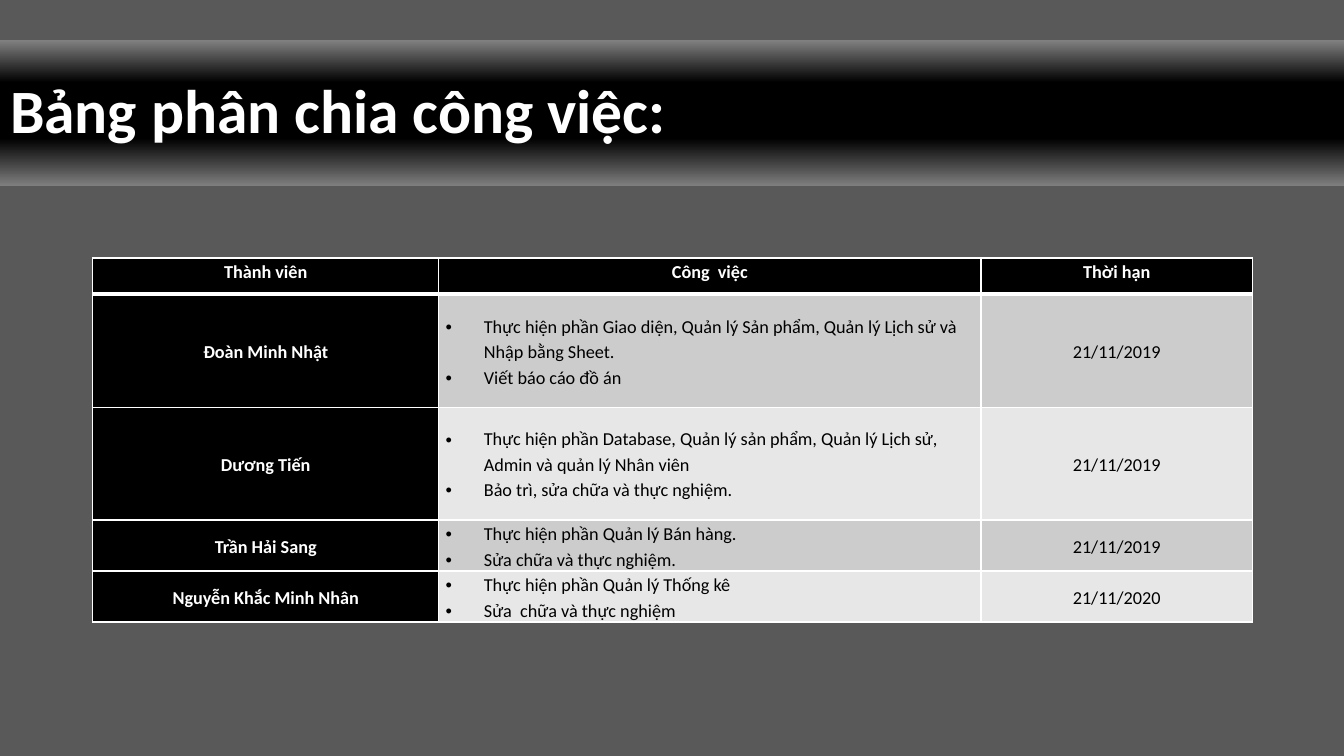
from lxml import etree
from pptx import Presentation
from pptx import util as u
from pptx.dml import color
from pptx.enum import text
from pptx.oxml import ns

FONT = "Calibri"
WHITE, BLACK, GREY = "FFFFFF", "000000", "595959"
BANDS = ["CCCCCC", "E7E7E7"]
TITLE_STOPS = [(0, "808080"), (33, BLACK), (71, BLACK), (100, "808080")]
COLUMN_WIDTHS = [3.43, 5.38, 2.69]
ROW_HEIGHTS = [0.36, 1.12, 1.12, 0.36, 0.36]
HEADINGS = ["Thành viên", "Công  việc", "Thời hạn"]
MEMBERS = [
    ("Đoàn Minh Nhật",
     ["Thực hiện phần Giao diện, Quản lý Sản phẩm, Quản lý Lịch sử và Nhập bằng Sheet.",
      "Viết báo cáo đồ án"], "21/11/2019"),
    ("Dương Tiến",
     ["Thực hiện phần Database, Quản lý sản phẩm, Quản lý Lịch sử, Admin và quản lý Nhân viên",
      "Bảo trì, sửa chữa và thực nghiệm."], "21/11/2019"),
    ("Trần Hải Sang",
     ["Thực hiện phần Quản lý Bán hàng.", "Sửa chữa và thực nghiệm."], "21/11/2019"),
    ("Nguyễn Khắc Minh Nhân",
     ["Thực hiện phần Quản lý Thống kê", "Sửa  chữa và thực nghiệm"], "21/11/2020"),
]


def rgb(value):
    """Turn a hex string into a colour."""
    return color.RGBColor.from_string(value)


def add_element(parent, tag, **attributes):
    """Append a DrawingML element with the given attributes."""
    element = etree.SubElement(parent, ns.qn(tag))
    for name, value in attributes.items():
        element.set(name, str(value))
    return element


def add_bullet(paragraph):
    """Give a paragraph a round bullet and a hanging indent."""
    properties = paragraph._p.get_or_add_pPr()
    indent = u.Inches(0.38)
    properties.set("marL", str(indent))
    properties.set("indent", str(-indent))
    add_element(properties, "a:buFont", typeface="Arial")
    add_element(properties, "a:buChar", char="•")


def write_text(frame, lines, size=13, ink=BLACK, bold=False,
               align=text.PP_ALIGN.CENTER, spacing=1.15, bullets=False):
    """Write each line as a formatted paragraph of the frame."""
    for index, line in enumerate(lines):
        paragraph = frame.paragraphs[0] if index == 0 else frame.add_paragraph()
        paragraph.alignment = align
        paragraph.line_spacing = spacing
        if bullets:
            add_bullet(paragraph)
        run = paragraph.add_run()
        run.text = line
        run.font.name = FONT
        run.font.size = u.Pt(size)
        run.font.bold = bold
        run.font.color.rgb = rgb(ink)


def set_gradient(shape, stops):
    """Fill a shape with a vertical gradient of several stops."""
    shape.fill.gradient()
    shape.fill.gradient_angle = 90
    stop_list = shape._element.spPr.find(".//" + ns.qn("a:gsLst"))
    for old_stop in list(stop_list):
        stop_list.remove(old_stop)
    for position, value in stops:
        stop = add_element(stop_list, "a:gs", pos=position * 1000)
        add_element(stop, "a:srgbClr", val=value)


def set_borders(cell, top=1, bottom=1):
    """Draw white borders of the given point widths around a cell."""
    properties = cell._tc.get_or_add_tcPr()
    widths = {"a:lnL": 1, "a:lnR": 1, "a:lnT": top, "a:lnB": bottom}
    for index, (tag, width) in enumerate(widths.items()):
        line = add_element(properties, tag, w=u.Pt(width))
        add_element(add_element(line, "a:solidFill"), "a:srgbClr", val=WHITE)
        properties.insert(index, line)


def fill_cell(cell, lines, fill, anchor=text.MSO_ANCHOR.MIDDLE, **text_format):
    """Set the fill, margins and text of a table cell."""
    cell.fill.solid()
    cell.fill.fore_color.rgb = rgb(fill)
    cell.margin_left = cell.margin_right = u.Inches(0.07)
    cell.margin_top = cell.margin_bottom = 0
    cell.vertical_anchor = anchor
    write_text(cell.text_frame, lines, **text_format)


def add_title(slide, title_text):
    """Place the title as a full-width gradient band."""
    title = slide.shapes.title
    title.left, title.top = 0, u.Inches(0.4)
    title.width, title.height = u.Inches(13.33), u.Inches(1.45)
    set_gradient(title, TITLE_STOPS)
    title.text_frame.vertical_anchor = text.MSO_ANCHOR.MIDDLE
    write_text(title.text_frame, [title_text], size=44, ink=WHITE, bold=True,
               align=text.PP_ALIGN.LEFT, spacing=0.9)


def add_task_table(slide):
    """Add the table of members, tasks and deadlines."""
    frame = slide.shapes.add_table(
        len(ROW_HEIGHTS), len(COLUMN_WIDTHS), u.Inches(0.92), u.Inches(2.56),
        u.Inches(sum(COLUMN_WIDTHS)), u.Inches(sum(ROW_HEIGHTS)))
    table = frame.table
    table.first_col = True
    for column, width in zip(table.columns, COLUMN_WIDTHS):
        column.width = u.Inches(width)
    for row, height in zip(table.rows, ROW_HEIGHTS):
        row.height = u.Inches(height)

    for column, heading in enumerate(HEADINGS):
        fill_cell(table.cell(0, column), [heading], BLACK,
                  anchor=text.MSO_ANCHOR.TOP, ink=WHITE, bold=True)
        set_borders(table.cell(0, column), bottom=3)

    for row, (member, tasks, deadline) in enumerate(MEMBERS, start=1):
        band = BANDS[(row - 1) % 2]
        fill_cell(table.cell(row, 0), [member], BLACK, ink=WHITE, bold=True)
        fill_cell(table.cell(row, 1), tasks, band,
                  align=text.PP_ALIGN.LEFT, bullets=True)
        fill_cell(table.cell(row, 2), [deadline], band)
        for column in range(len(COLUMN_WIDTHS)):
            set_borders(table.cell(row, column), top=3 if row == 1 else 1)


def main():
    """Build and save the slide."""
    presentation = Presentation()
    presentation.slide_width = u.Inches(13.33)
    presentation.slide_height = u.Inches(7.5)
    slide = presentation.slides.add_slide(presentation.slide_layouts[5])
    slide.background.fill.solid()
    slide.background.fill.fore_color.rgb = rgb(GREY)
    add_title(slide, "Bảng phân chia công việc:")
    add_task_table(slide)
    presentation.save("out.pptx")


if __name__ == "__main__":
    main()
